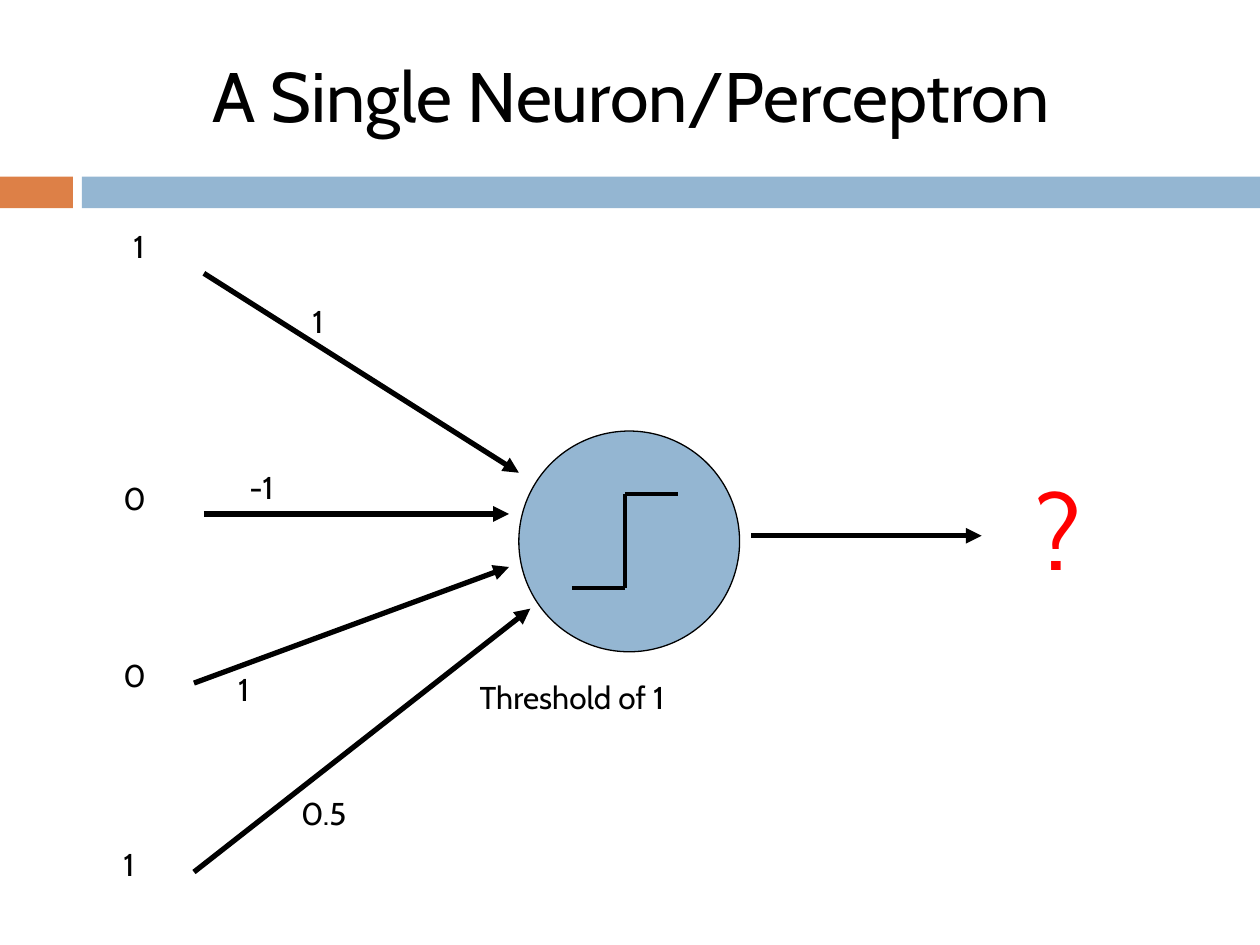
"""Build a slide showing a single perceptron with four weighted inputs."""
import itertools
from dataclasses import dataclass

import pptx
import pptx.dml.color
import pptx.enum.shapes
import pptx.enum.text
import pptx.oxml
import pptx.oxml.ns
import pptx.util
from pptx.util import Cm


@dataclass(frozen=True)
class Theme:
    font: str = "Cabin"
    ink: str = "000000"
    blue: str = "94B6D2"
    rust: str = "DD8047"
    red: str = "FF0000"
    head: float = 40
    text: float = 18
    mark: float = 60
    arrow: float = 3
    step: float = 2.25
    edge: float = 0.75


theme = Theme()
rgb = pptx.dml.color.RGBColor.from_string
kind = pptx.enum.shapes.MSO_SHAPE

deck = pptx.Presentation()
deck.slide_width, deck.slide_height = Cm(25.4), Cm(19.05)
slide = deck.slides.add_slide(deck.slide_layouts[5])
shapes = slide.shapes


def write(box, text, size, color, align=pptx.enum.text.PP_ALIGN.LEFT):
    frame = box.text_frame
    frame.word_wrap = True
    frame.auto_size = pptx.enum.text.MSO_AUTO_SIZE.NONE
    frame.vertical_anchor = pptx.enum.text.MSO_ANCHOR.TOP
    para = frame.paragraphs[0]
    para.alignment = align
    run = para.add_run()
    run.text = text
    run.font.name = theme.font
    run.font.size = pptx.util.Pt(size)
    run.font.color.rgb = rgb(color)


def draw(start, end, width, arrow=False):
    line = shapes.add_connector(
        pptx.enum.shapes.MSO_CONNECTOR.STRAIGHT, *map(Cm, start + end))
    line.line.color.rgb = rgb(theme.ink)
    line.line.width = pptx.util.Pt(width)
    if arrow:
        tail = pptx.oxml.parse_xml(
            f'<a:tailEnd {pptx.oxml.ns.nsdecls("a")} type="triangle"/>')
        line.line._get_or_add_ln().append(tail)
    props = line._element.spPr
    props.append(pptx.oxml.parse_xml(
        f'<a:effectLst {pptx.oxml.ns.nsdecls("a")}/>'))


title = shapes.title
title.left, title.top = Cm(1.07), Cm(0.94)
title.width, title.height = Cm(23.29), Cm(1.96)
write(title, "A Single Neuron/Perceptron", theme.head, theme.ink,
      pptx.enum.text.PP_ALIGN.CENTER)

solids = [
    (kind.RECTANGLE, (0, 3.56, 1.47, 0.64), theme.rust),
    (kind.RECTANGLE, (1.65, 3.56, 23.75, 0.64), theme.blue),
    (kind.OVAL, (10.46, 8.69, 4.45, 4.45), theme.blue),
]
for form, place, color in solids:
    solid = shapes.add_shape(form, *map(Cm, place))
    solid.shadow.inherit = False
    solid.fill.solid()
    solid.fill.fore_color.rgb = rgb(color)
    if form == kind.OVAL:
        solid.line.color.rgb = rgb(theme.ink)
        solid.line.width = pptx.util.Pt(theme.edge)
    else:
        solid.line.fill.background()

arrows = [
    ((15.14, 10.8), (19.79, 10.8)),
    ((4.11, 5.51), (10.46, 9.53)),
    ((4.11, 10.36), (10.26, 10.36)),
    ((3.91, 13.77), (10.26, 11.43)),
    ((3.91, 17.58), (10.69, 12.27)),
]
for start, end in arrows:
    draw(start, end, theme.arrow, True)

steps = [(11.53, 11.86), (12.6, 11.86), (12.6, 9.96), (13.67, 9.96)]
for start, end in itertools.pairwise(steps):
    draw(start, end, theme.step)

inputs = [("1", 2.44, 4.45), ("0", 2.24, 9.53),
          ("0", 2.24, 13.11), ("1", 2.24, 16.92)]
weights = [("1", 6.05, 5.97), ("-1", 4.78, 9.32),
           ("1", 4.55, 13.39), ("0.5", 5.82, 15.88)]
labels = [("Threshold of 1", 9.42, 13.54)]
groups = [
    (inputs, 1.7, 1.27, theme.text, theme.ink),
    (weights, 3.81, 1.02, theme.text, theme.ink),
    (labels, 6.99, 1.27, theme.text, theme.ink),
    ([("?", 20.62, 9.25)], 3.81, 2.82, theme.mark, theme.red),
]
for items, width, height, size, color in groups:
    for text, left, top in items:
        box = shapes.add_textbox(*map(Cm, (left, top, width, height)))
        write(box, text, size, color)

deck.save("out.pptx")
